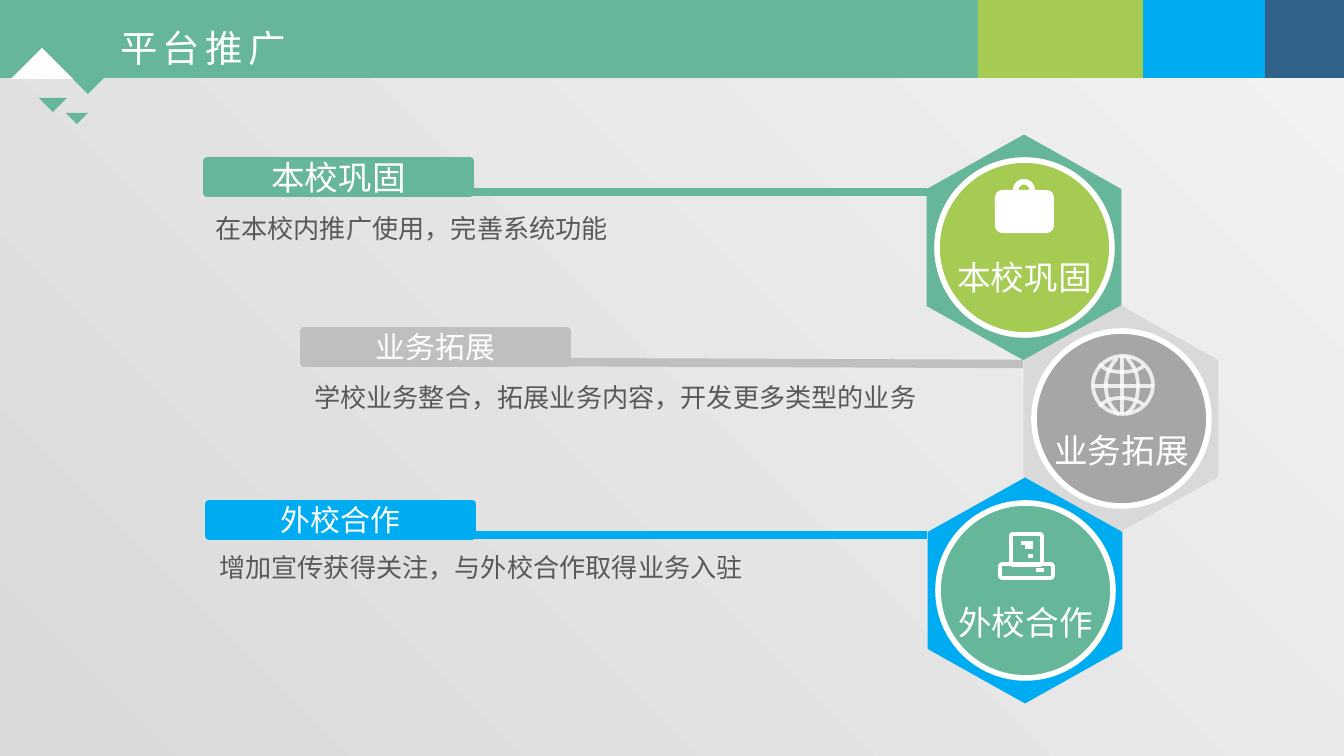
from lxml.etree import SubElement
from pptx import Presentation
from pptx.dml.color import RGBColor
from pptx.enum.shapes import MSO_CONNECTOR as Line, MSO_SHAPE as Shape
from pptx.enum.text import MSO_ANCHOR as Anchor, PP_ALIGN as Align
from pptx.oxml.ns import qn
from pptx.util import Pt

FONT = "Noto Sans CJK SC"
GREEN, LIME, BLUE, NAVY, WHITE = "66B699", "A5CB52", "00ACF1", "31628A", "FFFFFF"
SILVER, PALE, GRAY, INK = "BFBFBF", "D9D9D9", "A6A6A6", "595959"
EMU_PER_PX = 914400 / 134.4


def px(length):
    """Turn pixels into EMU."""
    return round(length * EMU_PER_PX)


def color(value):
    """Turn a hex string into a colour."""
    return RGBColor.from_string(value)


def style_line(shape, value, points, opacity=100):
    """Set the colour, width and opacity of a line."""
    shape.line.color.rgb = color(value)
    shape.line.width = Pt(points)
    if opacity < 100:
        rgb = shape.line._get_or_add_ln().find(".//" + qn("a:srgbClr"))
        SubElement(rgb, qn("a:alpha"), val=str(opacity * 1000))


def style_shape(shape, fill=None, line=None, points=2, opacity=100):
    """Set fill and line, leaving out whichever is not given."""
    shape.shadow.inherit = False
    if fill:
        shape.fill.solid()
        shape.fill.fore_color.rgb = color(fill)
    else:
        shape.fill.background()
    if line:
        style_line(shape, line, points, opacity)
    else:
        shape.line.fill.background()
    return shape


def add_shape(slide, kind, box, **style):
    """Add a styled preset shape."""
    return style_shape(slide.shapes.add_shape(kind, *map(px, box)), **style)


def add_outline(slide, points, close=True, **style):
    """Add a styled outline through the points."""
    corners = [(px(x), px(y)) for x, y in points]
    builder = slide.shapes.build_freeform(*corners[0])
    builder.add_line_segments(corners[1:], close=close)
    return style_shape(builder.convert_to_shape(), **style)


def add_line(slide, start, end, value, points, opacity=100):
    """Add a straight line without a shadow."""
    line = slide.shapes.add_connector(Line.STRAIGHT, *map(px, (*start, *end)))
    style_line(line, value, points, opacity)
    SubElement(line._element.spPr, qn("a:effectLst"))


def write(shape, text, size, value, align, spacing=None):
    """Write one run into a shape and return its paragraph."""
    paragraph = shape.text_frame.paragraphs[0]
    paragraph.alignment = align
    run = paragraph.add_run()
    run.text = text
    run.font.size = Pt(size)
    run.font.name = FONT
    run.font.color.rgb = color(value)
    properties = run._r.get_or_add_rPr()
    SubElement(properties, qn("a:ea"), typeface=FONT)
    if spacing:
        properties.set("spc", str(spacing))
    return paragraph


def add_text(slide, box, text, size, value, align, wrap=True):
    """Add a text box with one paragraph."""
    textbox = slide.shapes.add_textbox(*map(px, box))
    textbox.text_frame.word_wrap = wrap
    write(textbox, text, size, value, align)


def curve(points, steps=10):
    """Sample a chain of cubic curves as points."""
    sampled = [points[0]]
    for first in range(0, len(points) - 1, 3):
        controls = points[first:first + 4]
        for step in range(1, steps + 1):
            t = step / steps
            weights = ((1 - t) ** 3, 3 * t * (1 - t) ** 2, 3 * t * t * (1 - t), t ** 3)
            sampled.append(tuple(sum(w * p[axis] for w, p in zip(weights, controls))
                                 for axis in (0, 1)))
    return sampled


def header(slide, title):
    """Draw the top band, its colour blocks, the triangles and the title."""
    for left, width, fill in ((0, 1188, GREEN), (1265, 79, NAVY), (1143, 122, BLUE), (978, 165, LIME)):
        add_shape(slide, Shape.RECTANGLE, (left, 0, width, 78), fill=fill)
    for left, base, half, depth, fill in ((65, 71, 23, 23, GREEN), (66, 113, 11, 11, GREEN),
                                          (11, 79, 31, -31, WHITE), (39, 98, 14, 14, GREEN)):
        add_outline(slide, [(left, base), (left + 2 * half, base), (left + half, base + depth)], fill=fill)
    textbox = slide.shapes.add_textbox(*map(px, (120, 12, 255, 52)))
    frame = textbox.text_frame
    frame.word_wrap = True
    frame.margin_left = frame.margin_right = frame.margin_top = frame.margin_bottom = 0
    write(textbox, title, 20, WHITE, Align.LEFT, 300).line_spacing = 1.3


def briefcase(slide, x, y):
    """Draw a briefcase above the centre of a badge."""
    add_shape(slide, Shape.ROUNDED_RECTANGLE, (x - 29, y - 57, 59, 43), fill=WHITE)
    add_shape(slide, Shape.BLOCK_ARC, (x - 11, y - 68, 22, 22), fill=WHITE)


def globe(slide, x, y):
    """Draw a globe above the centre of a badge."""
    add_shape(slide, Shape.OVAL, (x - 28, y - 62, 60, 58), line=WHITE, opacity=78)
    add_line(slide, (x + 1, y - 62), (x + 1, y - 4), WHITE, 2, 78)
    add_line(slide, (x - 28, y - 32), (x + 32, y - 32), WHITE, 2, 78)
    arcs = (
        ((5, -62), (9, -55), (17, -50), (17, -32), (17, -15), (11, -8), (5, -4)),
        ((-4, -60), (-7, -56), (-15, -48), (-15, -32), (-15, -15), (-7, -9), (-2, -3)),
        ((23, -13), (20, -15), (13, -20), (0, -20), (-14, -20), (-17, -15), (-22, -12)),
        ((23, -52), (20, -50), (15, -46), (1, -46), (-13, -46), (-17, -50), (-22, -54)),
    )
    for arc in arcs:
        points = [(x + dx, y + dy) for dx, dy in curve(arc)]
        add_outline(slide, points, close=False, line=WHITE, opacity=78)


def computer(slide, x, y):
    """Draw a desktop computer above the centre of a badge."""
    for box, corner in (((x - 14, y - 56, 31, 31), 0.06), ((x - 25, y - 26, 53, 14), 0.17)):
        part = add_shape(slide, Shape.ROUNDED_RECTANGLE, box, line=WHITE)
        part.adjustments[0] = corner
    for left, right, dy in ((11, 19, -20), (-4, 8, -47), (0, 8, -43), (3, 8, -34)):
        add_line(slide, (x + right, y + dy), (x + left, y + dy), WHITE, 2)


def badge(slide, x, y, text, caption_drop, frame, fill, icon):
    """Draw a hexagon with a disc, an icon and a caption around a centre."""
    hexagon = add_shape(slide, Shape.HEXAGON, (x - 113, y - 97, 226, 195), fill=frame)
    hexagon.adjustments[0] = 0.28
    hexagon.rotation = 270
    add_shape(slide, Shape.OVAL, (x - 87, y - 87, 175, 175), fill=fill, line=WHITE, points=3)
    add_text(slide, (x - 81, y + caption_drop, 163, 54), text, 18, WHITE, Align.CENTER, wrap=False)
    icon(slide, x, y)


def label(slide, left, top, text, size, fill, line_start, line_end):
    """Draw a label bar and the line leading from it."""
    add_line(slide, line_start, line_end, fill, 4.5)
    bar = add_shape(slide, Shape.RECTANGLE, (left, top, 263, 32), fill=fill, line=fill, points=4.5)
    bar.text_frame.vertical_anchor = Anchor.MIDDLE
    bar.text_frame.word_wrap = True
    write(bar, text, size, WHITE, Align.CENTER)


def main():
    """Build and save the slide."""
    presentation = Presentation()
    presentation.slide_width, presentation.slide_height = px(1344), px(756)
    slide = presentation.slides.add_slide(presentation.slide_layouts[6])
    background = slide.background.fill
    background.gradient()
    background.gradient_angle = 45
    for stop, value in zip(background.gradient_stops, (PALE, "F2F2F2")):
        stop.color.rgb = color(value)
    header(slide, "平台推广")
    first, second, third = "本校巩固", "业务拓展", "外校合作"
    label(slide, 207, 161, first, 18, GREEN, (361, 192), (927, 192))
    badge(slide, 1024, 247, first, 3, GREEN, LIME, briefcase)
    label(slide, 304, 331, second, 16, SILVER, (524, 362), (1023, 364))
    badge(slide, 1121, 418, second, 5, PALE, GRAY, globe)
    label(slide, 209, 504, third, 16, BLUE, (361, 535), (927, 535))
    badge(slide, 1025, 590, third, 5, BLUE, GREEN, computer)
    for left, top, width, text in (
            (202, 206, 583, "在本校内推广使用，完善系统功能"),
            (301, 375, 641, "学校业务整合，拓展业务内容，开发更多类型的业务"),
            (206, 545, 583, "增加宣传获得关注，与外校合作取得业务入驻")):
        add_text(slide, (left, top, width, 46), text, 14, INK, Align.JUSTIFY)
    presentation.save("out.pptx")


if __name__ == "__main__":
    main()
